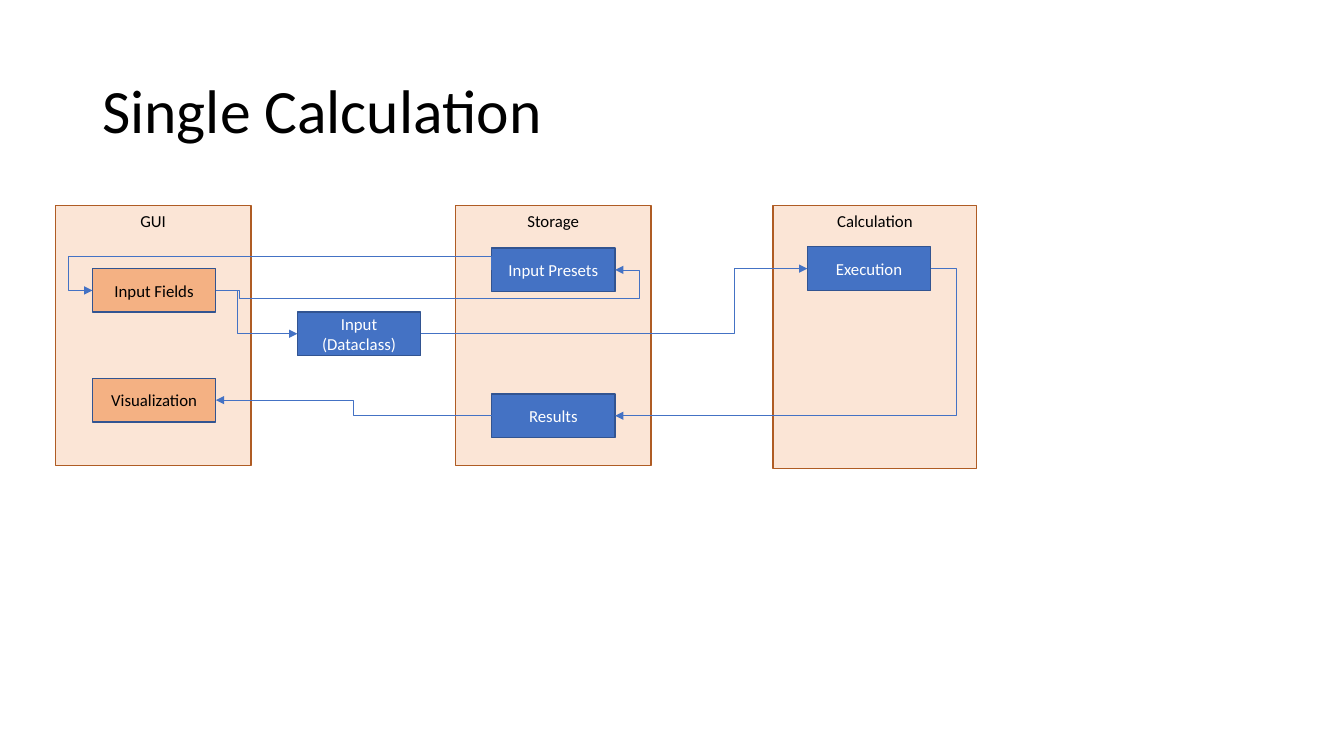
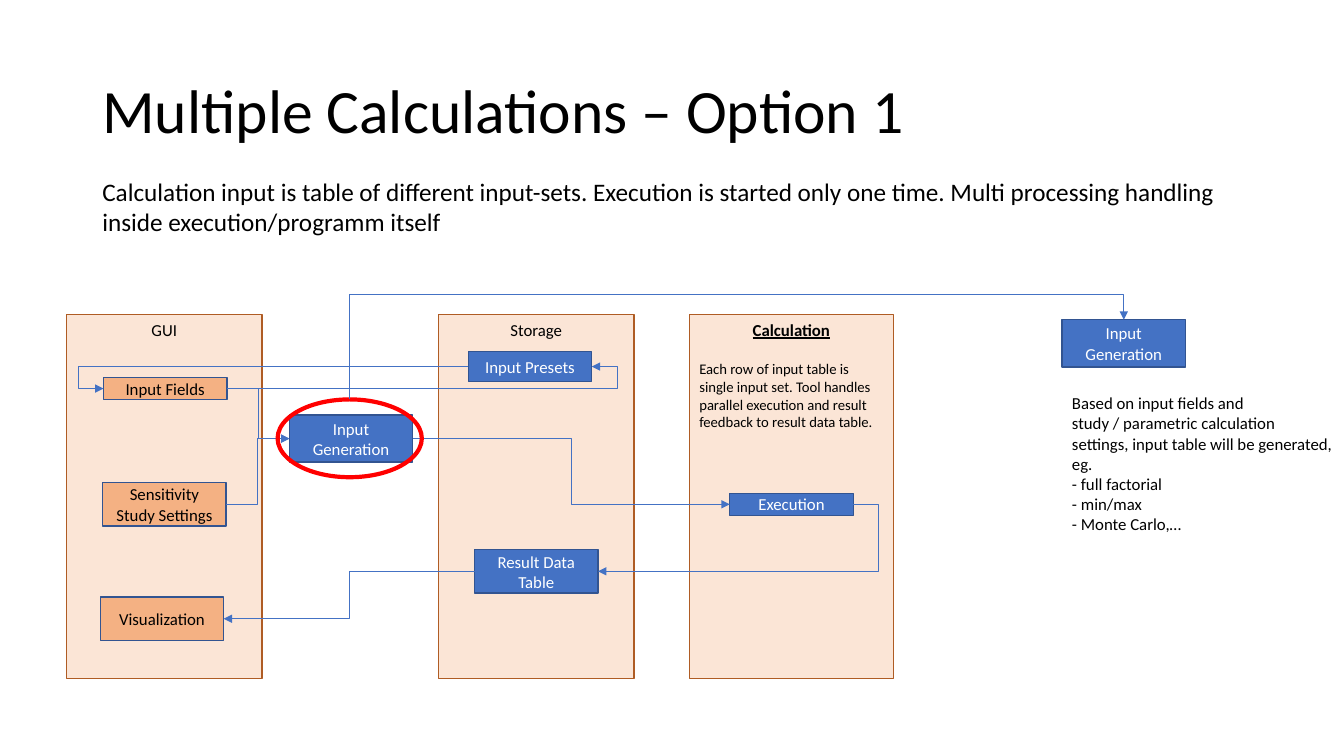
"""Build two flow diagrams of calculation runs: single and multiple."""
from pptx import Presentation
from pptx.dml.color import RGBColor
from pptx.enum.shapes import MSO_CONNECTOR as CONN, MSO_SHAPE as SHAPE
from pptx.enum.text import MSO_ANCHOR as ANCHOR, MSO_AUTO_SIZE as AUTO, PP_ALIGN as ALIGN
from pptx.oxml.ns import qn
from pptx.util import Pt
from lxml.etree import SubElement

rgb = RGBColor.from_string
FONT = "Calibri"
BLACK, WHITE, RED = "000000", "FFFFFF", "FF0000"
BLUE, NAVY, ORANGE = "4472C4", "325491", "F4B183"
PEACH, BROWN = "FBE5D6", "AF5C24"
TOP, LEFT, RIGHT = 0, 1, 3
BOX_W, BOX_H = 88.2, 31.2


def block(s, text, box, fill=None, line=None, size=12, color=BLACK,
          anchor=ANCHOR.TOP, align=ALIGN.LEFT, wrap=True):
    box = [Pt(v) for v in box]
    if fill:
        sp = s.shapes.add_shape(SHAPE.RECTANGLE, *box)
        sp.shadow.inherit = False
        sp.fill.solid()
        sp.fill.fore_color.rgb = rgb(fill)
        sp.line.color.rgb = rgb(line)
        sp.line.width = Pt(1)
    else:
        sp = s.shapes.add_textbox(*box)
    tf = sp.text_frame
    tf.word_wrap = wrap
    tf.auto_size = AUTO.NONE if wrap else AUTO.SHAPE_TO_FIT_TEXT
    tf.vertical_anchor = anchor
    p = tf.paragraphs[0]
    p.alignment = align
    for i, words in enumerate(text.split("\n")):
        if i:
            p.add_line_break()
        r = p.add_run()
        r.text = words
        r.font.name, r.font.size = FONT, Pt(size)
        r.font.color.rgb = rgb(color)
    for br in p._p.findall(qn("a:br")):
        SubElement(br, qn("a:rPr")).set("sz", str(size * 100))
    return sp


def link(s, start, out, end, into, *bends):
    c = s.shapes.add_connector(CONN.ELBOW, 0, 0, 0, 0)
    c.begin_connect(start, out)
    c.end_connect(end, into)
    c.line.color.rgb = rgb(BLUE)
    c.line.width = Pt(0.5)
    pr = c._element.spPr
    SubElement(pr.find(qn("a:ln")), qn("a:tailEnd")).set("type", "triangle")
    SubElement(pr, qn("a:effectLst"))
    geom = pr.find(qn("a:prstGeom"))
    geom.set("prst", f"bentConnector{len(bends) + 2}")
    guides = geom.find(qn("a:avLst"))
    for i, bend in enumerate(bends, 1):
        gd = SubElement(guides, qn("a:gd"))
        gd.set("name", f"adj{i}")
        gd.set("fmla", f"val {round(bend * 100000)}")
    xfrm = pr.find(qn("a:xfrm"))
    if out == LEFT:
        xfrm.rot, xfrm.flipH, xfrm.flipV = 180, False, not xfrm.flipV
    elif out == TOP:
        shift = (c.width - c.height) // 2
        c.left, c.top = c.left + shift, c.top - shift
        c.width, c.height = c.height, c.width
        xfrm.rot, xfrm.flipH, xfrm.flipV = 90, True, True


pages = [
    dict(
        title="Single Calculation",
        panels=[("Calculation", 552.2, 146.9, 145.6, 187.9),
                ("Storage", 325.3, 146.9, 139.7, 185.8),
                ("GUI", 39.6, 146.9, 139.7, 185.8)],
        gui=[("Input Fields", 66, 191.8, BOX_H),
             ("Visualization", 66, 270.2, BOX_H)],
        core=[("Execution", 576.7, 176.3, BOX_H),
              ("Input\n(Dataclass)", 212.4, 222.8, BOX_H),
              ("Results", 351.2, 281.4, BOX_H),
              ("Input Presets", 351.2, 177.2, BOX_H)],
        links=[("Execution", RIGHT, "Results", RIGHT, -0.08),
               ("Results", LEFT, "Visualization", RIGHT, 0.5),
               ("Input Presets", LEFT, "Input Fields", LEFT, 0, -0.69, 1.06),
               ("Input Fields", RIGHT, "Input Presets", RIGHT, 0.06, -0.41, 1.06),
               ("Input\n(Dataclass)", RIGHT, "Execution", LEFT, 0.81),
               ("Input Fields", RIGHT, "Input\n(Dataclass)", LEFT, 0.26)]),
    dict(
        title="Multiple Calculations – Option 1",
        panels=[("Calculation", 492.5, 224.8, 145.6, 259.9),
                ("Storage", 313.2, 224.8, 139.7, 259.9),
                ("GUI", 47.5, 224.8, 139.7, 259.9)],
        gui=[("Input Fields", 73.9, 269.7, 15.8),
             ("Visualization", 71.6, 426.4, BOX_H),
             ("Sensitivity Study Settings", 73.4, 344.6, BOX_H)],
        core=[("Execution", 521.3, 352.3, 15.8),
              ("Input\nGeneration", 206.7, 296.4, 33.8),
              ("Result Data Table", 339, 392.5, BOX_H),
              ("Input Presets", 334.5, 251.3, 21.2)],
        links=[("Execution", RIGHT, "Result Data Table", RIGHT, -0.1),
               ("Result Data Table", LEFT, "Visualization", RIGHT, 0.5),
               ("Input Presets", LEFT, "Input Fields", LEFT, 1.07),
               ("Input Fields", RIGHT, "Input Presets", RIGHT, 1.07),
               ("Input\nGeneration", RIGHT, "Execution", LEFT, 0.5),
               ("Input Fields", RIGHT, "Input\nGeneration", LEFT, 0.5),
               ("Sensitivity Study Settings", RIGHT, "Input\nGeneration", LEFT, 0.5)]),
]
gui_style = dict(fill=ORANGE, line=NAVY, anchor=ANCHOR.MIDDLE, align=ALIGN.CENTER)
core_style = dict(gui_style, fill=BLUE, color=WHITE)

prs = Presentation()
prs.slide_width, prs.slide_height = Pt(960), Pt(540)
for page in pages:
    s = prs.slides.add_slide(prs.slide_layouts[6])
    panels, nodes = {}, {}
    for name, *box in page["panels"]:
        panels[name] = block(s, name, box, PEACH, BROWN, align=ALIGN.CENTER)
    title = block(s, page["title"], (66, 28.75, 828, 104.4), size=44, anchor=ANCHOR.MIDDLE)
    title.text_frame.paragraphs[0].line_spacing = 0.9
    for group, style in (("gui", gui_style), ("core", core_style)):
        for name, x, y, h in page[group]:
            nodes[name] = block(s, name, (x, y, BOX_W, h), **style)
    for start, out, end, into, *bends in page["links"]:
        link(s, nodes[start], out, nodes[end], into, *bends)

tf = panels["Calculation"].text_frame
heading = tf.paragraphs[0].runs[0].font
heading.bold = heading.underline = True
p = tf.add_paragraph()
p.alignment = ALIGN.LEFT
p.space_before = Pt(14.6)
r = p.add_run()
r.text = ("Each row of input table is single input set. Tool handles "
          "parallel execution and result feedback to result data table.")
r.font.name, r.font.size = FONT, Pt(10.5)
r.font.color.rgb = rgb(BLACK)

block(s, "Calculation input is table of different input-sets. Execution is started "
      "only one time. Multi processing handling\ninside execution/programm itself",
      (66, 122.5, 819.4, 50.9), size=18, wrap=False)
detail = block(s, "Input\nGeneration", (758.6, 228.4, BOX_W, 33.8), **core_style)
block(s, "Based on input fields and\nstudy / parametric calculation\n"
      "settings, input table will be generated,\neg.\n"
      "- full factorial\n- min/max\n- Monte Carlo,…",
      (758.6, 277.2, 202.3, 108.7), wrap=False)
ring = s.shapes.add_shape(SHAPE.OVAL, Pt(198.3), Pt(285.3), Pt(103), Pt(55.6))
ring.shadow.inherit = False
ring.fill.background()
ring.line.color.rgb = rgb(RED)
ring.line.width = Pt(3)
link(s, ring, TOP, detail, TOP, 1.32)

prs.save("out.pptx")
